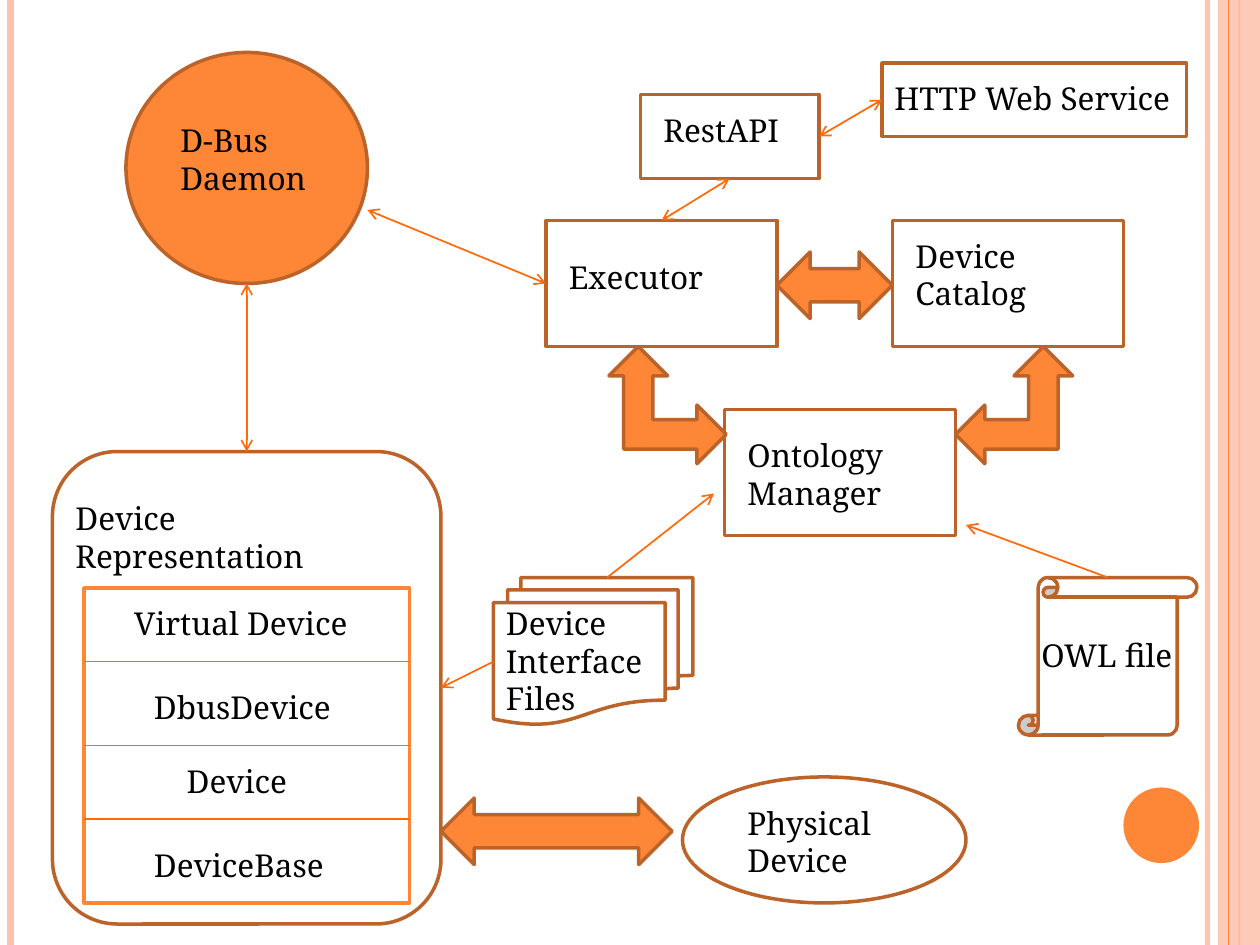
from typing import NamedTuple, Optional

from lxml.etree import SubElement
from pptx import Presentation
from pptx.dml.color import RGBColor
from pptx.enum.shapes import MSO_CONNECTOR, MSO_SHAPE
from pptx.oxml.ns import qn
from pptx.util import Pt

ORANGE = RGBColor(0xFE, 0x86, 0x37)
BROWN = RGBColor(0xBC, 0x63, 0x29)
ARROW = RGBColor(0xFF, 0x6B, 0x0A)
PEACH = RGBColor(0xFE, 0xC3, 0xAE)
WHITE = RGBColor(0xFF, 0xFF, 0xFF)
BLACK = RGBColor(0, 0, 0)
FONT = "Noto Serif"


class Node(NamedTuple):
    kind: MSO_SHAPE
    x: float
    y: float
    w: float
    h: float
    fill: Optional[RGBColor] = WHITE
    line: Optional[RGBColor] = BROWN
    rotation: float = 0
    alpha: int = 100


class Link(NamedTuple):
    x1: float
    y1: float
    x2: float
    y2: float
    head: bool = False
    tail: bool = False
    color: RGBColor = ARROW
    width: float = 1
    alpha: int = 100


class Label(NamedTuple):
    lines: tuple[str, ...]
    x: float
    y: float
    w: float
    h: float = 28.8
    indent: float = 0
    wrap: bool = True


def set_alpha(el, percent: int) -> None:
    if percent < 100:
        color = next(el.iter(qn("a:srgbClr")))
        SubElement(color, qn("a:alpha")).set("val", str(percent * 1000))


def draw_node(s, n: Node) -> None:
    sp = s.shapes.add_shape(n.kind, Pt(n.x), Pt(n.y), Pt(n.w), Pt(n.h))
    sp.shadow.inherit = False
    sp.rotation = n.rotation
    if n.fill is None:
        sp.fill.background()
    else:
        sp.fill.solid()
        sp.fill.fore_color.rgb = n.fill
        set_alpha(sp.element.spPr, n.alpha)
    if n.line is None:
        sp.line.fill.background()
    else:
        sp.line.color.rgb = n.line
        sp.line.width = Pt(2)


def draw_link(s, k: Link) -> None:
    c = s.shapes.add_connector(
        MSO_CONNECTOR.STRAIGHT, Pt(k.x1), Pt(k.y1), Pt(k.x2), Pt(k.y2)
    )
    c.line.color.rgb = k.color
    c.line.width = Pt(k.width)
    ln = c.line._get_or_add_ln()
    set_alpha(ln, k.alpha)
    for tag, shown in (("a:headEnd", k.head), ("a:tailEnd", k.tail)):
        if shown:
            SubElement(ln, qn(tag)).set("type", "arrow")
    SubElement(c.element.spPr, qn("a:effectLst"))


def draw_label(s, t: Label) -> None:
    tf = s.shapes.add_textbox(Pt(t.x), Pt(t.y), Pt(t.w), Pt(t.h)).text_frame
    tf.word_wrap = t.wrap
    tf.margin_left = Pt(7.2 + t.indent)
    for i, line in enumerate(t.lines):
        p = tf.add_paragraph() if i else tf.paragraphs[0]
        p.line_spacing = Pt(21.4)
        r = p.add_run()
        r.text = line
        r.font.size = Pt(18)
        r.font.name = FONT
        r.font.color.rgb = BLACK


def edge(x: float, color: RGBColor, width: float, alpha: int = 100) -> Link:
    return Link(x, 0, x, 540, color=color, width=width, alpha=alpha)


def component(x: float, y: float) -> Node:
    return Node(MSO_SHAPE.RECTANGLE, x, y, 132, 72, None)


FRAME = [
    edge(690, PEACH, 3, 93),
    edge(6, PEACH, 4.5),
    edge(708, ORANGE, 1.5),
    Node(MSO_SHAPE.RECTANGLE, 696, 0, 24, 540, PEACH, None, alpha=87),
    edge(702, ORANGE, 0.75),
    Node(MSO_SHAPE.OVAL, 642, 450, 43.2, 43.2, ORANGE, None),
]

NODES = [
    Node(MSO_SHAPE.OVAL, 390, 444, 162, 72),
    Node(MSO_SHAPE.FLOWCHART_MULTIDOCUMENT, 282, 330, 114, 84),
    Node(MSO_SHAPE.ROUNDED_RECTANGLE, 30, 258, 222, 270),
    Node(MSO_SHAPE.RECTANGLE, 48, 336, 186, 180, line=ORANGE),
    Node(MSO_SHAPE.OVAL, 72, 30, 138, 132, ORANGE),
    Node(MSO_SHAPE.RECTANGLE, 504, 36, 174, 42, None),
    component(510, 126),
    component(312, 126),
    component(414, 234),
    Node(MSO_SHAPE.VERTICAL_SCROLL, 582, 330, 102, 90),
    Node(MSO_SHAPE.LEFT_RIGHT_ARROW, 444, 144, 66, 38, ORANGE),
    Node(MSO_SHAPE.LEFT_UP_ARROW, 348, 198, 67, 67, ORANGE, rotation=90),
    Node(MSO_SHAPE.LEFT_UP_ARROW, 546, 198, 67, 67, ORANGE),
    Node(MSO_SHAPE.LEFT_RIGHT_ARROW, 252, 456, 132, 38, ORANGE),
    Node(MSO_SHAPE.RECTANGLE, 366, 54, 102, 48),
]

DIVIDERS = [Link(48, y, 234, y) for y in (378, 426, 468)]

LINKS = [
    Link(210, 120, 312, 162, True, True),
    Link(141, 162, 141, 258, True, True),
    Link(468, 78, 504, 57, True, True),
    Link(417, 102, 378, 126, True, True),
    Link(282, 378, 252, 393, tail=True),
    Link(347, 330, 408, 282, tail=True),
    Link(633, 330, 552, 300, tail=True),
]

LABELS = [
    Label(("DeviceBase",), 48, 480, 186, indent=32.8),
    Label(("Device",), 48, 432, 186, indent=51.5),
    Label(("DbusDevice",), 48, 390, 186, indent=32.8),
    Label(("Virtual Device",), 60, 342, 156, indent=9.4),
    Label(("Physical", "Device"), 420, 456, 90, 51),
    Label(("D-Bus Daemon",), 96, 66, 102, 51),
    Label(("Device Representation",), 36, 282, 204),
    Label(("HTTP Web Service",), 504, 42, 174),
    Label(("Executor",), 318, 144, 120),
    Label(("Device Catalog",), 516, 132, 120, 51),
    Label(("Ontology Manager",), 420, 246, 120, 51),
    Label(("OWL file",), 588, 360, 90),
    Label(("Device Interface Files",), 282, 342, 120, 72.7),
    Label(("RestAPI",), 372, 60, 85, wrap=False),
]

DRAW = {Node: draw_node, Link: draw_link, Label: draw_label}

prs = Presentation()
prs.slide_width, prs.slide_height = Pt(720), Pt(540)
s = prs.slides.add_slide(prs.slide_layouts[6])
for item in FRAME + NODES + DIVIDERS + LINKS + LABELS:
    DRAW[type(item)](s, item)
prs.save("out.pptx")
